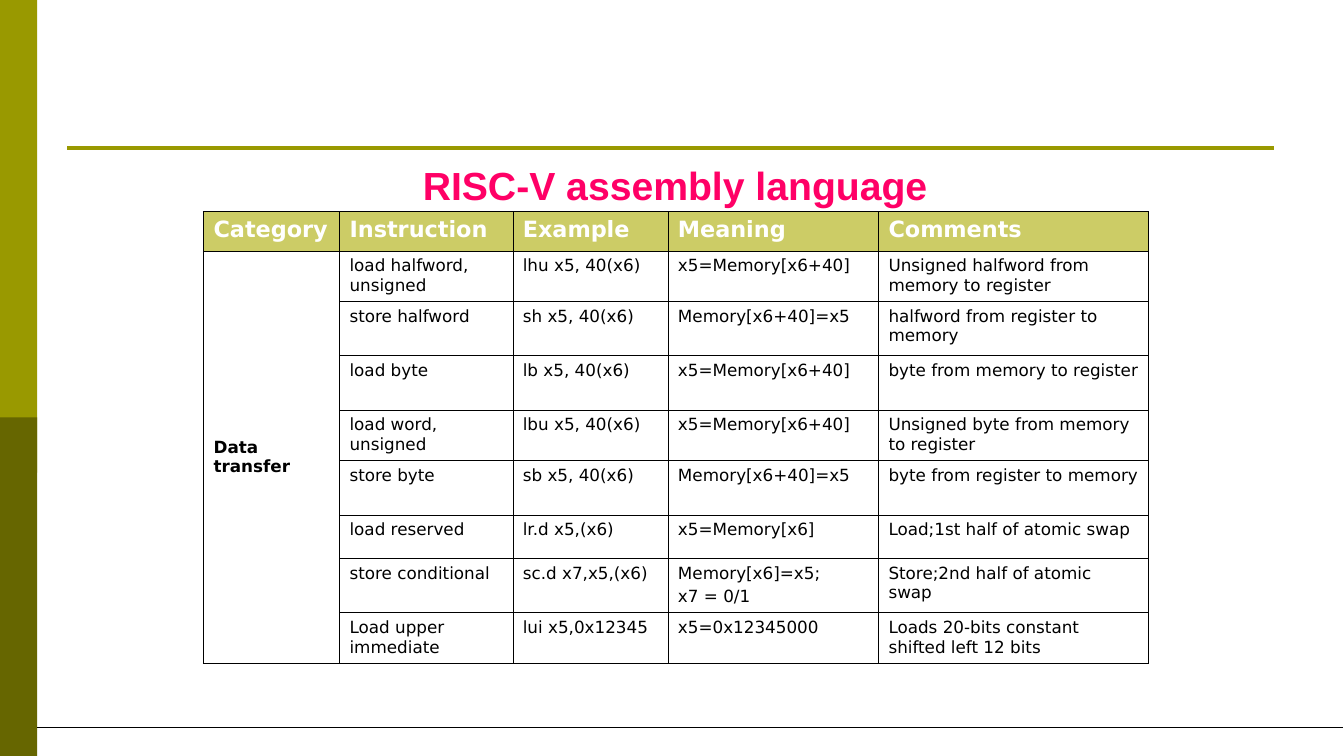
from pptx import Presentation
from pptx.dml.color import RGBColor
from pptx.enum import shapes, text
from pptx.oxml import parse_xml
from pptx.oxml.ns import nsdecls
from pptx.util import Inches, Pt

TITLE = "RISC-V assembly language"
HEADERS = ["Category", "Instruction", "Example", "Meaning", "Comments"]
CATEGORY = "Data transfer"
INSTRUCTIONS = [
    ("load halfword, unsigned", "lhu x5, 40(x6)", "x5=Memory[x6+40]", "Unsigned halfword from memory to register"),
    ("store halfword", "sh x5, 40(x6)", "Memory[x6+40]=x5", "halfword from register to memory"),
    ("load byte", "lb x5, 40(x6)", "x5=Memory[x6+40]", "byte from memory to register"),
    ("load word, unsigned", "lbu x5, 40(x6)", "x5=Memory[x6+40]", "Unsigned byte from memory to register"),
    ("store byte", "sb x5, 40(x6)", "Memory[x6+40]=x5", "byte from register to memory"),
    ("load reserved", "lr.d x5,(x6)", "x5=Memory[x6]", "Load;1st half of atomic swap"),
    ("store conditional", "sc.d x7,x5,(x6)", "Memory[x6]=x5;\nx7 = 0/1", "Store;2nd half of atomic swap"),
    ("Load upper immediate", "lui x5,0x12345", "x5=0x12345000", "Loads 20-bits constant shifted left 12 bits"),
]
COLUMN_WIDTHS = [1.35, 1.72, 1.54, 2.09, 2.68]
ROW_HEIGHTS = [0.39, 0.5, 0.54, 0.54, 0.5, 0.54, 0.43, 0.54, 0.5]
SIDE_BARS = [(0, 4.69, "999900"), (4.14, 3.36, "666600")]
RULES = [(0.67, 12.65, 1.47, "999900", 3), (0.37, 13.33, 7.22, "000000", 0.75)]
OUTER, INNER = 1.08, 0.45


def color(value):
    return RGBColor.from_string(value)


def add_text(frame, content, font_name, size, hex_color, bold, space=0):
    for index, line in enumerate(content.split("\n")):
        paragraph = frame.add_paragraph() if index else frame.paragraphs[0]
        paragraph.space_before = Pt(space if index else 0)
        run = paragraph.add_run()
        run.text = line
        font = run.font
        font.name, font.size, font.bold = font_name, Pt(size), bold
        font.color.rgb = color(hex_color)


def add_borders(cell, row, column):
    widths = {
        "L": INNER if column else OUTER,
        "R": OUTER if column == len(HEADERS) - 1 else INNER,
        "T": INNER if row else OUTER,
        "B": INNER,
    }
    properties = cell._tc.get_or_add_tcPr()
    for side, width in widths.items():
        properties.append(parse_xml(
            f'<a:ln{side} {nsdecls("a")} w="{Pt(width)}"><a:solidFill>'
            f'<a:srgbClr val="000000"/></a:solidFill></a:ln{side}>'))


def add_side_bar(slide, top, height, hex_color):
    bar = slide.shapes.add_shape(
        shapes.MSO_SHAPE.RECTANGLE, 0, Inches(top), Inches(0.37), Inches(height))
    bar.shadow.inherit = False
    bar.fill.solid()
    bar.fill.fore_color.rgb = color(hex_color)
    bar.line.fill.background()


def add_rule(slide, left, right, y, hex_color, width):
    rule = slide.shapes.add_connector(
        shapes.MSO_CONNECTOR.STRAIGHT, Inches(left), Inches(y), Inches(right), Inches(y))
    rule.line.color.rgb = color(hex_color)
    rule.line.width = Pt(width)
    rule._element.spPr.append(parse_xml(f'<a:effectLst {nsdecls("a")}/>'))


def add_title(slide):
    title = slide.shapes.title
    title.left, title.top = Inches(3.75), Inches(1.55)
    title.width, title.height = Inches(5.9), Inches(0.57)
    frame = title.text_frame
    frame.auto_size = text.MSO_AUTO_SIZE.NONE
    frame.vertical_anchor = text.MSO_ANCHOR.TOP
    frame.word_wrap = True
    add_text(frame, TITLE, "Arial", 28, "FF0066", True)
    frame.paragraphs[0].alignment = text.PP_ALIGN.CENTER


def add_instruction_table(slide):
    rows = [HEADERS] + [("", *instruction) for instruction in INSTRUCTIONS]
    table = slide.shapes.add_table(
        len(rows), len(HEADERS), Inches(2.02), Inches(2.1),
        Inches(sum(COLUMN_WIDTHS)), Inches(sum(ROW_HEIGHTS))).table
    table.horz_banding = False
    for column, width in zip(table.columns, COLUMN_WIDTHS):
        column.width = Inches(width)
    for row, height in zip(table.rows, ROW_HEIGHTS):
        row.height = Inches(height)
    for r, values in enumerate(rows):
        for c, value in enumerate(values):
            cell = table.cell(r, c)
            add_borders(cell, r, c)
            if r == 0:
                cell.fill.solid()
                cell.fill.fore_color.rgb = color("CCCC66")
                add_text(cell.text_frame, value, "DejaVu Sans", 16, "FFFFFF", True)
            else:
                cell.fill.background()
                if value:
                    add_text(cell.text_frame, value, "DejaVu Sans", 12, "000000", False, 3)
    category = table.cell(1, 0)
    category.merge(table.cell(len(INSTRUCTIONS), 0))
    category.vertical_anchor = text.MSO_ANCHOR.MIDDLE
    add_text(category.text_frame, CATEGORY, "DejaVu Sans", 12, "000000", True)


def main():
    presentation = Presentation()
    presentation.slide_width, presentation.slide_height = Inches(13.34), Inches(7.5)
    slide = presentation.slides.add_slide(presentation.slide_layouts[5])
    for bar in SIDE_BARS:
        add_side_bar(slide, *bar)
    for rule in RULES:
        add_rule(slide, *rule)
    add_title(slide)
    add_instruction_table(slide)
    presentation.save("out.pptx")


if __name__ == "__main__":
    main()
